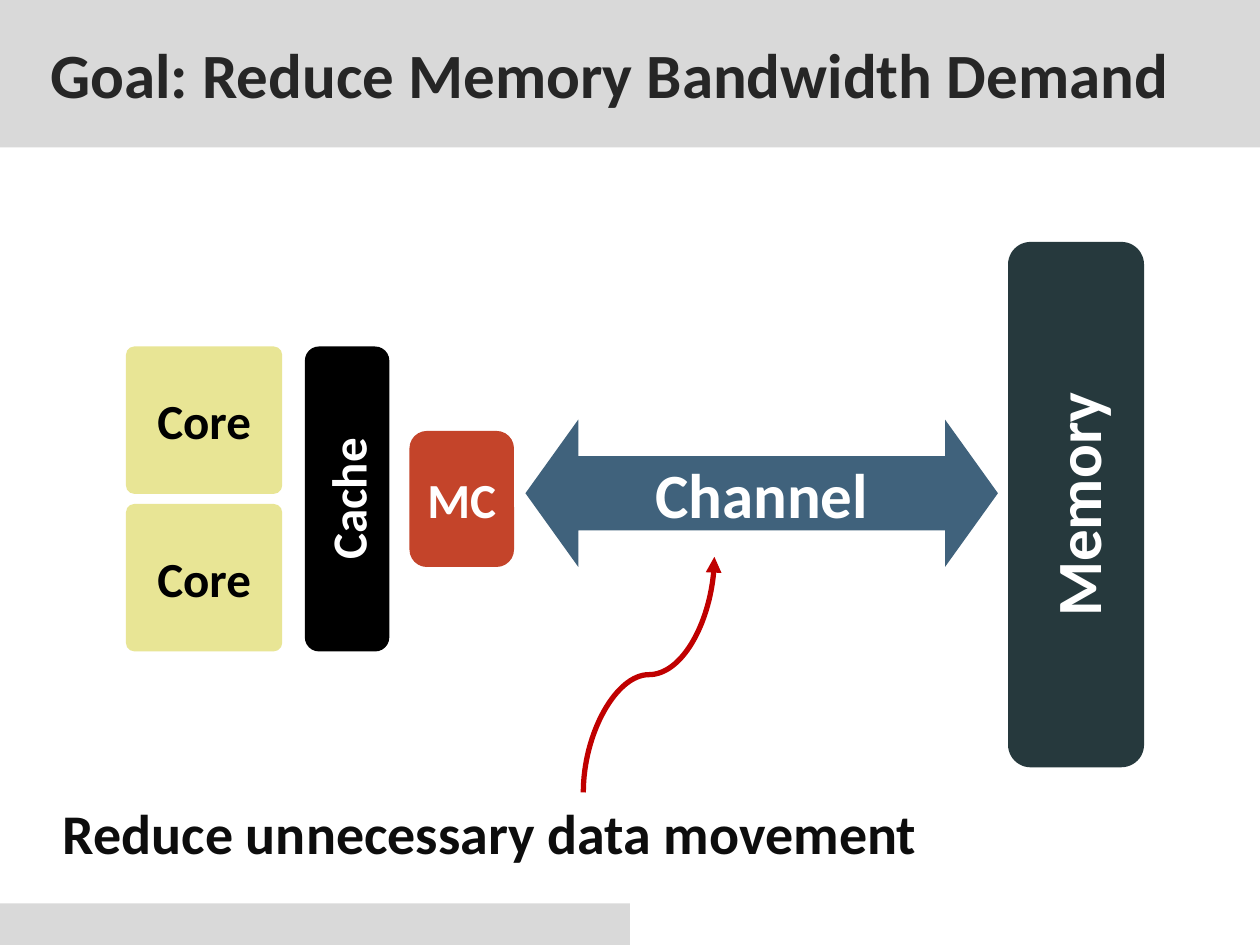
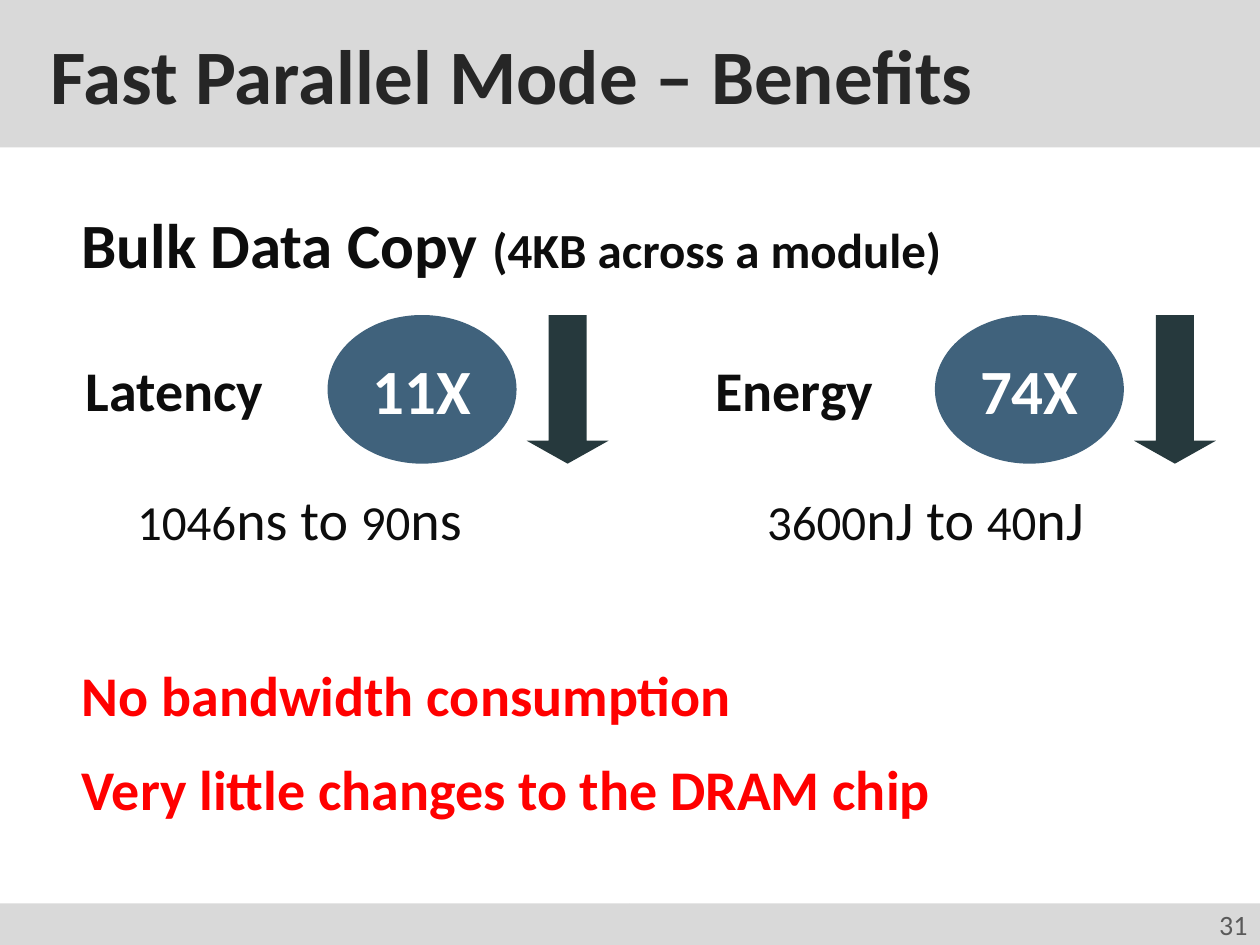
from pptx import Presentation
from pptx.dml.color import RGBColor
from pptx.enum.shapes import MSO_CONNECTOR, MSO_SHAPE
from pptx.enum.text import MSO_ANCHOR, PP_ALIGN
from pptx.oxml.ns import qn
from pptx.util import Inches, Pt
from lxml.etree import SubElement

FONT = "Calibri"
GREY, DARK, INK, WHITE, BLACK = "D9D9D9", "262626", "0D0D0D", "FFFFFF", "000000"
BLUE, SLATE, SAND, RUST = "40627C", "26393D", "E8E595", "C4442A"
RED, WINE, DIM = "FF0000", "C00000", "595959"
BODY = {"size": 32, "color": INK, "bold": True}
LABEL = {"size": 28, "color": WHITE, "bold": True}
LARGE = LABEL | {"size": 36}
PLAIN = BODY | {"bold": False}


def color(code):
    return RGBColor.from_string(code)


def write(frame, runs, style, align=PP_ALIGN.LEFT):
    para = frame.paragraphs[0]
    para.alignment = align
    for text, size in runs:
        run = para.add_run()
        run.text = text
        look = style | {"name": FONT, "size": Pt(size or style["size"])}
        run.font.color.rgb = color(look.pop("color"))
        for key, value in look.items():
            setattr(run.font, key, value)


def block(slide, kind, box, fill, text="", style=LABEL, align=PP_ALIGN.CENTER,
          adjust=(), turn=False, inset=0.1):
    shape = slide.shapes.add_shape(kind, *map(Inches, box))
    shape.shadow.inherit = False
    shape.fill.solid()
    shape.fill.fore_color.rgb = color(fill)
    shape.line.fill.background()
    for index, value in enumerate(adjust):
        shape.adjustments[index] = value
    if text:
        frame = shape.text_frame
        form = {"vertical_anchor": MSO_ANCHOR.MIDDLE, "word_wrap": True,
                "margin_left": Inches(inset)}
        for key, value in form.items():
            setattr(frame, key, value)
        if turn:
            shape.element.find(".//" + qn("a:bodyPr")).set("vert", "vert270")
        write(frame, [(text, None)], style, align)


def label(slide, box, runs, style=BODY, wrap=False):
    frame = slide.shapes.add_textbox(*map(Inches, box)).text_frame
    frame.word_wrap = wrap
    write(frame, runs, style)


def curve(slide, start, end, code, width):
    mid_x, mid_y = (start[0] + end[0]) / 2, (start[1] + end[1]) / 2
    half_w, half_h = (start[1] - end[1]) / 2, (end[0] - start[0]) / 2
    ends = (mid_x + half_w, mid_y + half_h, mid_x - half_w, mid_y - half_h)
    link = slide.shapes.add_connector(MSO_CONNECTOR.CURVE, *map(Inches, ends))
    link.line.color.rgb = color(code)
    link.line.width = Pt(width)
    SubElement(link.line._get_or_add_ln(), qn("a:tailEnd"), type="triangle")
    props = link.element.spPr
    props.find(qn("a:xfrm")).set("rot", "5400000")
    SubElement(props, qn("a:effectLst"))


def base(deck, title, size, number=""):
    slide = deck.slides.add_slide(deck.slide_layouts[6])
    block(slide, MSO_SHAPE.RECTANGLE, (0, 7.17, 5, 0.33), GREY)
    block(slide, MSO_SHAPE.RECTANGLE, (0, 0, 10, 1.17), GREY, title,
          {"size": size, "color": DARK, "bold": True}, PP_ALIGN.LEFT, inset=0.4)
    if number:
        block(slide, MSO_SHAPE.RECTANGLE, (5, 7.17, 5, 0.33), GREY, number,
              {"size": 16, "color": DIM}, PP_ALIGN.RIGHT)
    return slide


def chip(slide, left, top):
    round_box = MSO_SHAPE.ROUNDED_RECTANGLE
    for row in range(2):
        block(slide, round_box, (left, top + row * 1.25, 1.24, 1.17), SAND,
              "Core", LABEL | {"color": BLACK}, adjust=[0.057])
    block(slide, round_box, (left + 1.42, top, 0.67, 2.42), BLACK, "Cache", turn=True)
    block(slide, round_box, (left + 2.25, top + 0.67, 0.83, 1.08), RUST, "MC")
    block(slide, round_box, (left + 7, top - 0.83, 1.08, 4.17), SLATE, "Memory",
          LARGE, turn=True)
    block(slide, MSO_SHAPE.LEFT_RIGHT_ARROW, (left + 3.17, top + 0.58, 3.75, 1.17),
          BLUE, "Channel", LARGE, adjust=[0.504, 0.359])


def metric(slide, left, top, name, width, gain, shift, value):
    before, after, unit = value
    label(slide, (left, top + 0.27, width, 0.64), [(name, None)])
    label(slide, (left + 0.41, top + 1.3, 3.1, 0.64),
          [(before, 28), (f"{unit} to ", None), (after, 28), (unit, None)], PLAIN)
    block(slide, MSO_SHAPE.OVAL, (left + shift, top, 1.5, 1.18), BLUE, gain, LARGE)
    block(slide, MSO_SHAPE.DOWN_ARROW, (left + shift + 1.58, top, 0.65, 1.18), SLATE,
          adjust=[0.463, 0.28])


def goal(deck):
    slide = base(deck, "Goal: Reduce Memory Bandwidth Demand", 36)
    chip(slide, 1, 2.75)
    label(slide, (0.4, 6.29, 8.46, 0.64), [("Reduce unnecessary data movement", None)])
    curve(slide, (4.63, 6.29), (5.67, 4.42), WINE, 3)


def gains(deck):
    slide = base(deck, "Fast Parallel Mode – Benefits", 44, "31")
    label(slide, (0.55, 1.58, 8.87, 0.71),
          [("Bulk Data Copy ", 36), ("(4KB across a module)", 28)], wrap=True)
    metric(slide, 0.58, 2.5, "Latency", 1.75, "11X", 2.02, ("1046", "90", "ns"))
    metric(slide, 5.58, 2.5, "Energy", 1.57, "74X", 1.84, ("3600", "40", "nJ"))
    notes = ["No bandwidth consumption", "Very little changes to the DRAM chip"]
    for row, text in enumerate(notes):
        label(slide, (0.55, 5.19 + row * 0.75, 8.28, 0.64), [(text, None)],
              BODY | {"color": RED}, True)


def main():
    deck = Presentation()
    deck.slide_width, deck.slide_height = Inches(10), Inches(7.5)
    goal(deck)
    gains(deck)
    deck.save("out.pptx")


if __name__ == "__main__":
    main()
